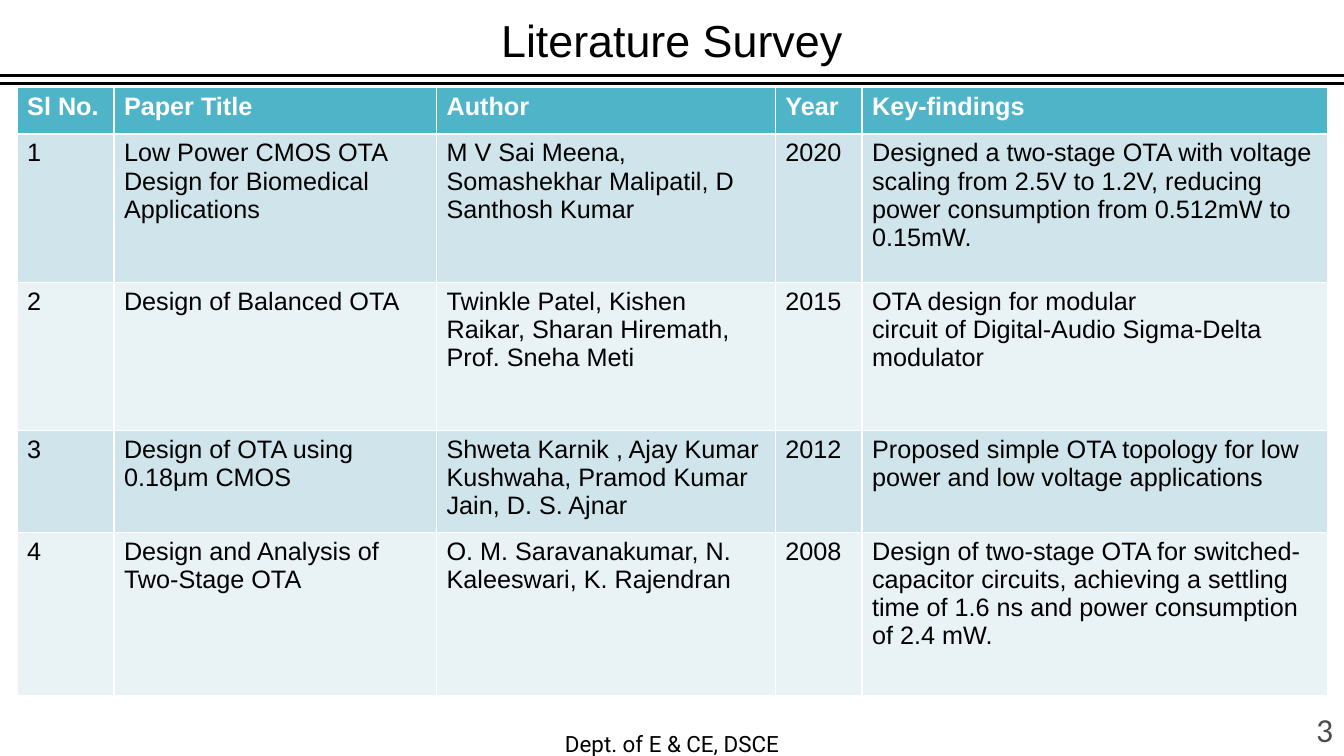
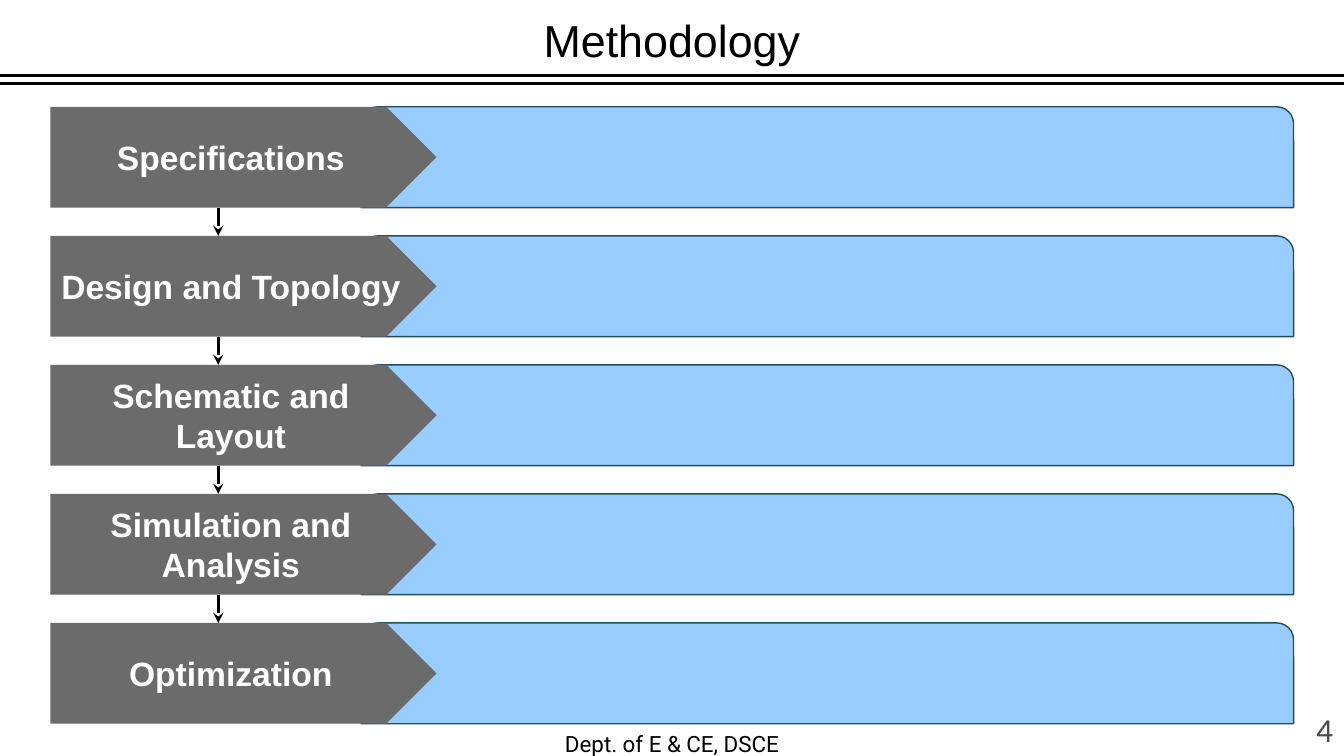
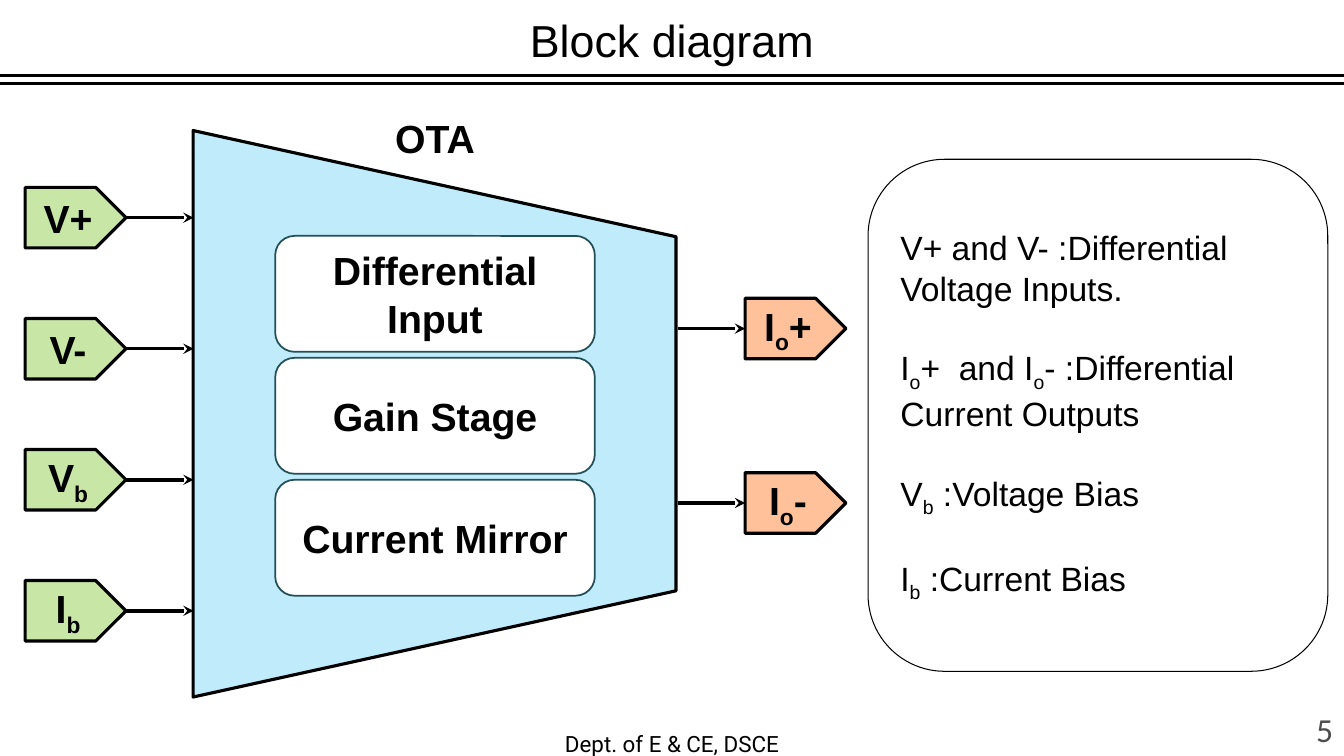
from dataclasses import dataclass

from lxml.etree import SubElement
from pptx import Presentation
from pptx.dml.color import RGBColor
from pptx.enum.shapes import MSO_CONNECTOR, MSO_SHAPE as Preset
from pptx.enum.text import MSO_ANCHOR as Anchor, PP_ALIGN as Align
from pptx.oxml.ns import qn
from pptx.util import Inches, Pt


@dataclass(frozen=True)
class Theme:
    font: str = "Arial"
    footer_font: str = "Roboto"
    number_font: str = "Calibri"
    black: str = "000000"
    white: str = "FFFFFF"
    header: str = "50B4C8"
    bands: tuple = ("D0E5EB", "E9F2F5")
    step: str = "6B6B6B"
    bar: str = "99CCFF"
    outline: str = "234F58"
    amplifier: str = "00B0F0"
    input: str = "92D050"
    output: str = "FF6600"
    title_size: int = 32
    label_size: int = 28
    body_size: int = 24
    table_size: int = 18
    footer_size: int = 16
    arrow_width: float = 2.5


THEME = Theme()
WIDTH, HEIGHT = 13.33, 7.5
FOOTER = "Dept. of E & CE, DSCE"
FIRST_NUMBER = 3

SURVEY_COLUMNS = (0.96, 3.2, 3.36, 0.86, 4.62)
SURVEY_ROWS = (0.46, 1.47, 1.47, 1.01, 1.62)
SURVEY = [
    ("Sl No.", "Paper Title", "Author", "Year", "Key-findings"),
    ("1", "Low Power CMOS OTA Design for Biomedical Applications",
     "M V Sai Meena, Somashekhar Malipatil, D Santhosh Kumar", "2020",
     "Designed a two-stage OTA with voltage scaling from 2.5V to 1.2V, "
     "reducing power consumption from 0.512mW to 0.15mW."),
    ("2", "Design of Balanced OTA",
     "Twinkle Patel, Kishen Raikar, Sharan Hiremath, Prof. Sneha Meti", "2015",
     "OTA design for modular\ncircuit of Digital-Audio Sigma-Delta modulator"),
    ("3", "Design of OTA using 0.18μm CMOS",
     "Shweta Karnik , Ajay Kumar Kushwaha, Pramod Kumar Jain, D. S. Ajnar", "2012",
     "Proposed simple OTA topology for low power and low voltage applications"),
    ("4", "Design and Analysis of Two-Stage OTA",
     "O. M. Saravanakumar, N. Kaleeswari, K. Rajendran", "2008",
     "Design of two-stage OTA for switched-capacitor circuits, achieving a "
     "settling time of 1.6 ns and power consumption of 2.4 mW."),
]

STEPS = ["Specifications", "Design and Topology", "Schematic and Layout",
         "Simulation and Analysis", "Optimization"]

# Text between tildes is set as a subscript.
INPUTS = ["V+", "V-", "V~b~", "I~b~"]
OUTPUTS = ["I~o~+", "I~o~-"]
STAGES = ["Differential Input", "Gain Stage", "Current Mirror"]
LEGEND = """V+ and V- :Differential Voltage Inputs.
I~o~+  and I~o~- :Differential Current Outputs
V~b~ :Voltage Bias
I~b~ :Current Bias"""


def rgb(colour):
    return RGBColor.from_string(colour)


def fade(properties, percent):
    """Make the solid fill held by an XML properties element see-through."""
    colour = properties.find(qn("a:solidFill"))[0]
    SubElement(colour, qn("a:alpha")).set("val", str(percent * 1000))


def write(frame, text, size, colour=THEME.black, bold=False, font=THEME.font,
          align=Align.CENTER, anchor=Anchor.MIDDLE, gap=0):
    """Fill a text frame, one paragraph a line, with ~subscripts~."""
    frame.word_wrap = True
    frame.vertical_anchor = anchor
    for index, line in enumerate(text.split("\n")):
        paragraph = frame.add_paragraph() if index else frame.paragraphs[0]
        paragraph.alignment = align
        paragraph.space_before = Pt(gap if index else 0)
        for position, piece in enumerate(line.split("~")):
            if not piece:
                continue
            run = paragraph.add_run()
            run.text = piece
            run.font.name, run.font.size, run.font.bold = font, Pt(size), bold
            run.font.color.rgb = rgb(colour)
            if position % 2:
                run.font._element.set("baseline", "-25000")


def add_box(slide, preset, box, fill, line=None, width=1, opacity=100):
    shape = slide.shapes.add_shape(preset, *map(Inches, box))
    shape.shadow.inherit = False
    shape.fill.solid()
    shape.fill.fore_color.rgb = rgb(fill)
    if opacity < 100:
        fade(shape._element.spPr, opacity)
    if line:
        shape.line.color.rgb = rgb(line)
        shape.line.width = Pt(width)
    else:
        shape.line.fill.background()
    return shape


def add_text(slide, box, text, size, **style):
    text_box = slide.shapes.add_textbox(*map(Inches, box))
    write(text_box.text_frame, text, size, **style)


def add_line(slide, start, end, width, arrow=False):
    line = slide.shapes.add_connector(MSO_CONNECTOR.STRAIGHT, *map(Inches, start + end))
    line.line.color.rgb = rgb(THEME.black)
    line.line.width = Pt(width)
    if arrow:
        SubElement(line.line._get_or_add_ln(), qn("a:tailEnd")).set("type", "stealth")
    SubElement(line._element.spPr, qn("a:effectLst"))
    return line


def add_frame(slide, title, number):
    """Draw the title band, double rule, footer and slide number."""
    band = add_box(slide, Preset.ROUNDED_RECTANGLE, (0, 0, WIDTH, 0.79), THEME.white)
    write(band.text_frame, title, THEME.title_size)
    for y in (0.75, 0.83):
        add_line(slide, (0, y), (WIDTH, y), 2)
    footer_width = 5.5
    add_text(slide, ((WIDTH - footer_width) / 2, HEIGHT - 0.25, footer_width, 0.25),
             FOOTER, THEME.footer_size, font=THEME.footer_font)
    corner = add_box(slide, Preset.RECTANGLE, (12.68, 6.98, 0.64, 0.5), THEME.white)
    write(corner.text_frame, str(number), THEME.body_size, font=THEME.number_font,
          align=Align.RIGHT, anchor=Anchor.BOTTOM)
    fade(corner.text_frame.paragraphs[0].runs[0].font._element, 70)


def draw_survey(slide):
    table = slide.shapes.add_table(
        len(SURVEY), len(SURVEY_COLUMNS), Inches(0.17), Inches(0.87),
        Inches(sum(SURVEY_COLUMNS)), Inches(sum(SURVEY_ROWS))).table
    for column, width in zip(table.columns, SURVEY_COLUMNS):
        column.width = Inches(width)
    for index, (row, height, texts) in enumerate(zip(table.rows, SURVEY_ROWS, SURVEY)):
        row.height = Inches(height)
        heading = index == 0
        for cell, text in zip(row.cells, texts):
            cell.fill.solid()
            cell.fill.fore_color.rgb = rgb(THEME.header if heading else THEME.bands[(index - 1) % 2])
            write(cell.text_frame, text, THEME.table_size,
                  THEME.white if heading else THEME.black, bold=heading, align=Align.LEFT)
            cell.vertical_anchor = Anchor.TOP


def draw_methodology(slide):
    top, height, gap = 1.06, 1, 0.28
    left, step_width = 0.5, 3.83
    flat_middle = left + (step_width - height / 2) / 2
    for index, step in enumerate(STEPS):
        y = top + index * (height + gap)
        add_box(slide, Preset.ROUND_2_SAME_RECTANGLE, (3.58, y, 9.25, height),
                THEME.bar, THEME.outline)
        plate = add_box(slide, Preset.PENTAGON, (left, y, step_width, height), THEME.step)
        write(plate.text_frame, step, THEME.body_size, THEME.white, bold=True)
        if index:
            add_line(slide, (flat_middle, y - gap), (flat_middle, y),
                     THEME.arrow_width, arrow=True)


def add_ports(slide, labels, left, top, pitch, fill, opacity):
    """Draw a column of labelled ports and return them with their middle heights."""
    width, height = 1, 0.6
    ports = []
    for index, label in enumerate(labels):
        y = top + index * pitch
        port = add_box(slide, Preset.PENTAGON, (left, y, width, height), fill,
                       THEME.black, 2.25, opacity)
        write(port.text_frame, label, THEME.label_size, bold=True)
        ports.append((port, y + height / 2))
    return ports


def draw_block_diagram(slide):
    legend = add_box(slide, Preset.ROUNDED_RECTANGLE, (8.61, 1.58, 4.56, 5.08),
                     THEME.white, THEME.black, 0.75)
    write(legend.text_frame, LEGEND, THEME.body_size, align=Align.LEFT, gap=28)

    amplifier = add_box(slide, Preset.TRAPEZOID, (1.5, 1.71, 5.62, 4.79),
                        THEME.amplifier, THEME.black, 2.25, 25)
    amplifier.rotation = 90
    amplifier.adjustments[0] = 0.22
    amplifier_left, amplifier_right = 1.92, 6.72
    add_text(slide, (3.55, 0.79, 1.53, 1.15), "OTA", THEME.label_size, bold=True)

    stage_height, stage_gap = 1.15, 0.06
    for index, name in enumerate(STAGES):
        y = 2.34 + index * (stage_height + stage_gap)
        stage = add_box(slide, Preset.ROUNDED_RECTANGLE, (2.73, y, 3.17, stage_height),
                        THEME.white, THEME.outline, 1.25)
        write(stage.text_frame, name, THEME.label_size, bold=True)

    for port, y in add_ports(slide, INPUTS, 0.25, 1.86, 1.3, THEME.input, 50):
        arrow = add_line(slide, (1.25, y), (amplifier_left, y), THEME.arrow_width, arrow=True)
        arrow.begin_connect(port, 3)
    for port, y in add_ports(slide, OUTPUTS, 7.39, 2.96, 1.73, THEME.output, 40):
        arrow = add_line(slide, (amplifier_right, y), (7.39, y), THEME.arrow_width, arrow=True)
        arrow.end_connect(port, 1)


SLIDES = [("Literature Survey", draw_survey), ("Methodology", draw_methodology),
          ("Block diagram", draw_block_diagram)]


def main():
    presentation = Presentation()
    presentation.slide_width, presentation.slide_height = Inches(WIDTH), Inches(HEIGHT)
    for number, (title, draw) in enumerate(SLIDES, FIRST_NUMBER):
        slide = presentation.slides.add_slide(presentation.slide_layouts[6])
        add_frame(slide, title, number)
        draw(slide)
    presentation.save("out.pptx")


if __name__ == "__main__":
    main()
